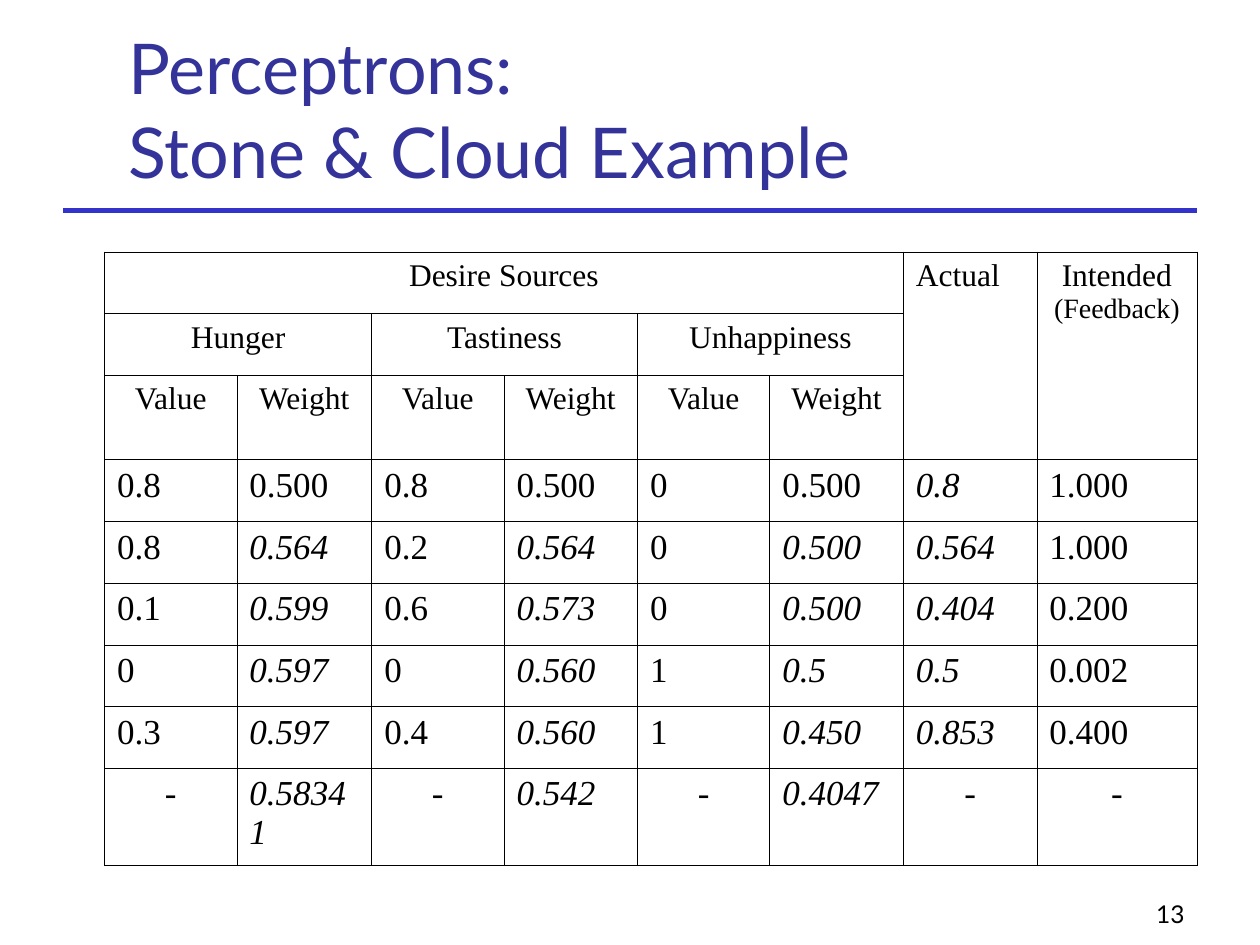
from dataclasses import dataclass

from lxml import etree
from pptx import Presentation
from pptx.dml.color import RGBColor
from pptx.enum.shapes import MSO_CONNECTOR
from pptx.enum.text import MSO_ANCHOR, MSO_AUTO_SIZE, PP_ALIGN
from pptx.oxml.ns import qn
from pptx.util import Inches, Pt

STRAIGHT = MSO_CONNECTOR.STRAIGHT
BOTTOM = MSO_ANCHOR.BOTTOM
NO_AUTOFIT = MSO_AUTO_SIZE.NONE
LEFT, CENTER, RIGHT = PP_ALIGN.LEFT, PP_ALIGN.CENTER, PP_ALIGN.RIGHT

TITLE_ONLY = 5
HEADING_FONT = "Lato"
TABLE_FONT = "Times New Roman"
BLACK, TITLE_BLUE, RULE_BLUE = "000000", "333399", "3333CC"
BORDER_WIDTH = 0.45

COLUMN_WIDTHS = [1.05, 1.07, 1.05, 1.06, 1.05, 1.06, 1.06, 1.27]
ROW_HEIGHTS = [0.49, 0.49, 0.67] + [0.49] * 5 + [0.77]
WEIGHT_COLUMNS = (1, 3, 5)
ACTUAL_COLUMN = 6


@dataclass
class Heading:
    row: int
    column: int
    lines: tuple[tuple[str, int], ...]
    row_span: int = 1
    column_span: int = 1
    alignment: PP_ALIGN = CENTER


HEADINGS = [
    Heading(0, 0, (("Desire Sources", 18),), column_span=6),
    Heading(0, 6, (("Actual", 18),), row_span=3, alignment=LEFT),
    Heading(0, 7, (("Intended", 18), ("(Feedback)", 16)), row_span=3),
]
for index, source in enumerate(("Hunger", "Tastiness", "Unhappiness")):
    first = 2 * index
    HEADINGS += [
        Heading(1, first, ((source, 18),), column_span=2),
        Heading(2, first, (("Value", 18),)),
        Heading(2, first + 1, (("Weight", 18),)),
    ]

TRIALS = [
    ("0.8", "0.500", "0.8", "0.500", "0", "0.500", "0.8", "1.000"),
    ("0.8", "0.564", "0.2", "0.564", "0", "0.500", "0.564", "1.000"),
    ("0.1", "0.599", "0.6", "0.573", "0", "0.500", "0.404", "0.200"),
    ("0", "0.597", "0", "0.560", "1", "0.5", "0.5", "0.002"),
    ("0.3", "0.597", "0.4", "0.560", "1", "0.450", "0.853", "0.400"),
    ("-", "0.58341", "-", "0.542", "-", "0.4047", "-", "-"),
]


def color(value: str) -> RGBColor:
    return RGBColor.from_string(value)


def write(paragraph, text: str, size: float, font: str, hex_color: str = BLACK,
          alignment: PP_ALIGN = LEFT, italic: bool = False) -> None:
    paragraph.alignment = alignment
    for number, line in enumerate(text.split("\n")):
        if number:
            paragraph.add_line_break()
        run = paragraph.add_run()
        run.text = line
        formats = {"name": font, "size": Pt(size), "bold": False, "italic": italic}
        for attribute, value in formats.items():
            setattr(run.font, attribute, value)
        run.font.color.rgb = color(hex_color)


def add_title(slide, text: str) -> None:
    title = slide.shapes.title
    place = {"left": 0.92, "top": 0.33, "width": 8.52, "height": 1.25}
    for attribute, value in place.items():
        setattr(title, attribute, Inches(value))
    frame = title.text_frame
    for attribute, value in {"vertical_anchor": BOTTOM, "auto_size": NO_AUTOFIT,
                             "word_wrap": True}.items():
        setattr(frame, attribute, value)
    write(frame.paragraphs[0], text, 40, HEADING_FONT, TITLE_BLUE)


def add_rule(slide) -> None:
    rule = slide.shapes.add_connector(
        STRAIGHT, Inches(0.5), Inches(1.67), Inches(9.5), Inches(1.67))
    rule.line.color.rgb = color(RULE_BLUE)
    rule.line.width = Pt(3)
    etree.SubElement(rule.element.spPr, qn("a:effectLst"))


def add_page_number(slide, number: str) -> None:
    box = slide.shapes.add_textbox(Inches(7.42), Inches(6.92), Inches(2.08), Inches(0.5))
    box.text_frame.word_wrap = True
    box.text_frame.vertical_anchor = BOTTOM
    write(box.text_frame.paragraphs[0], number, 14, HEADING_FONT, alignment=RIGHT)


def outline(cell) -> None:
    properties = cell._tc.get_or_add_tcPr()
    for side in ("a:lnL", "a:lnR", "a:lnT", "a:lnB"):
        border = etree.SubElement(properties, qn(side), w=str(Pt(BORDER_WIDTH)))
        fill = etree.SubElement(border, qn("a:solidFill"))
        etree.SubElement(fill, qn("a:srgbClr"), val=BLACK)
    cell.fill.background()


def fill_heading(table, heading: Heading) -> None:
    cell = table.cell(heading.row, heading.column)
    if heading.row_span > 1 or heading.column_span > 1:
        cell.merge(table.cell(heading.row + heading.row_span - 1,
                              heading.column + heading.column_span - 1))
    frame = cell.text_frame
    for number, (text, size) in enumerate(heading.lines):
        paragraph = frame.add_paragraph() if number else frame.paragraphs[0]
        write(paragraph, text, size, TABLE_FONT, alignment=heading.alignment)


def fill_trial(table, trial: int, values: tuple[str, ...]) -> None:
    for column, value in enumerate(values):
        computed = column == ACTUAL_COLUMN or (trial > 0 and column in WEIGHT_COLUMNS)
        paragraph = table.cell(trial + 3, column).text_frame.paragraphs[0]
        write(paragraph, value, 20, TABLE_FONT,
              alignment=CENTER if value == "-" else LEFT, italic=computed)


def add_training_table(slide) -> None:
    table = slide.shapes.add_table(
        len(ROW_HEIGHTS), len(COLUMN_WIDTHS), Inches(0.83), Inches(2),
        Inches(sum(COLUMN_WIDTHS)), Inches(sum(ROW_HEIGHTS))).table
    table.first_row = table.horz_banding = False
    for column, width in zip(table.columns, COLUMN_WIDTHS):
        column.width = Inches(width)
    for row, height in zip(table.rows, ROW_HEIGHTS):
        row.height = Inches(height)
    for cell in table.iter_cells():
        outline(cell)
    for heading in HEADINGS:
        fill_heading(table, heading)
    for trial, values in enumerate(TRIALS):
        fill_trial(table, trial, values)


def main() -> None:
    presentation = Presentation()
    presentation.slide_width = Inches(10)
    presentation.slide_height = Inches(7.5)
    slide = presentation.slides.add_slide(presentation.slide_layouts[TITLE_ONLY])
    add_rule(slide)
    add_page_number(slide, "13")
    add_title(slide, "Perceptrons:\nStone & Cloud Example")
    add_training_table(slide)
    presentation.save("out.pptx")


if __name__ == "__main__":
    main()
